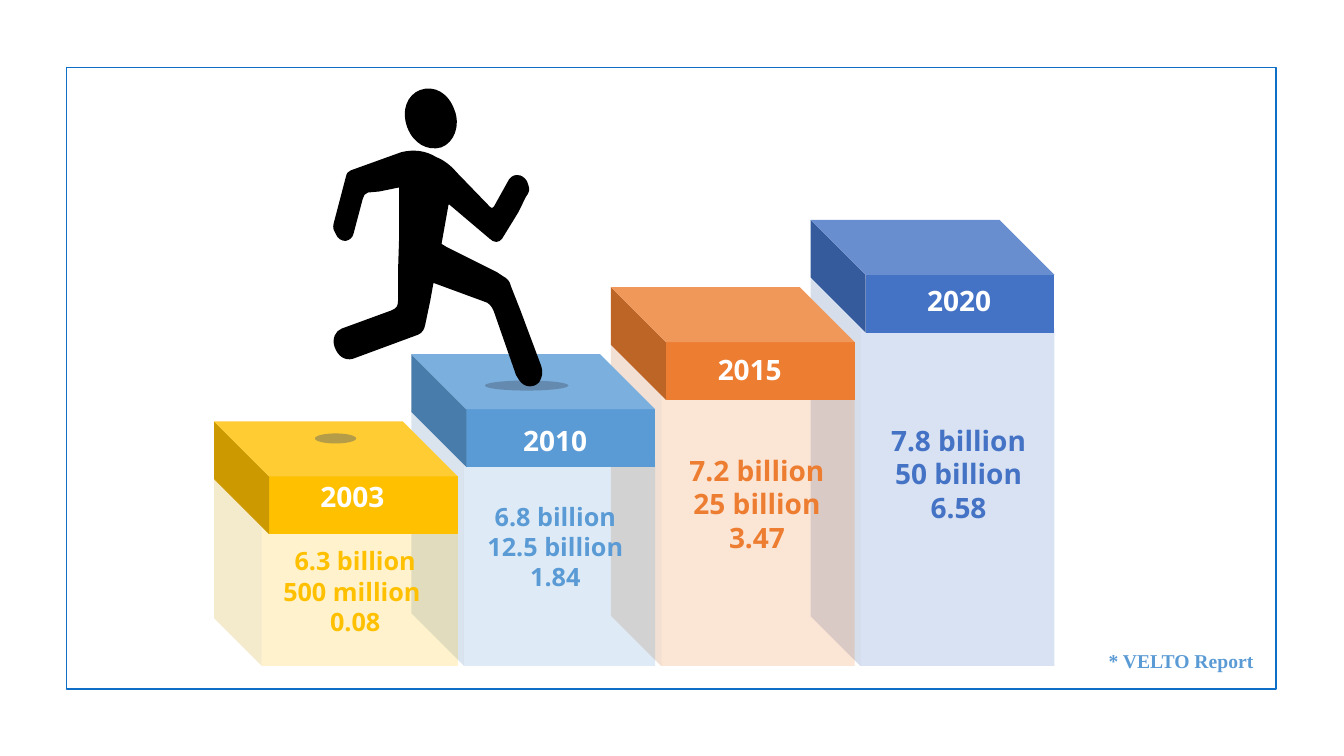
from lxml import etree
from pptx import Presentation
from pptx.dml.color import RGBColor
from pptx.enum.shapes import MSO_SHAPE
from pptx.enum.text import PP_ALIGN
from pptx.oxml.ns import qn
from pptx.util import Pt

RECT, CUBE, OVAL = MSO_SHAPE.RECTANGLE, MSO_SHAPE.CUBE, MSO_SHAPE.OVAL
LEFT, MID = PP_ALIGN.LEFT, PP_ALIGN.CENTER
GOLD = RGBColor(0xFF, 0xC0, 0x00)
SKY = RGBColor(0x5B, 0x9B, 0xD5)
RUST = RGBColor(0xED, 0x7D, 0x31)
BLUE = RGBColor(0x44, 0x72, 0xC4)
SLATE = RGBColor(0x44, 0x54, 0x6A)
EDGE = RGBColor(0x0F, 0x6F, 0xC6)
BLACK = RGBColor(0, 0, 0)
WHITE = RGBColor(255, 255, 255)
SANS, SERIF = "Open Sans", "Times New Roman"

STEPS = [
    {"year": "2003", "facts": ["6.3 billion", "500 million ", "0.08"], "size": 18,
     "color": GOLD, "left": 152.9, "top": 342.7, "depth": 0.256,
     "tag": (202.5, 339.1), "box": (182.4, 386.2, 142.6, 84.2)},
    {"year": "2010", "facts": ["6.8 billion", "12.5 billion", "1.84"], "size": 18,
     "color": SKY, "left": 293.8, "top": 292.3, "depth": 0.216,
     "tag": (347.3, 298.8), "box": (327.2, 354.5, 139, 84.2)},
    {"year": "2015", "facts": ["7.2 billion", "25 billion", "3.47"], "size": 20,
     "color": RUST, "left": 436.3, "top": 244.1, "depth": 0.206,
     "tag": (486.3, 248), "box": (470.2, 320.2, 141.1, 121)},
    {"year": "2020", "facts": ["7.8 billion", "50 billion", "6.58"], "size": 20,
     "color": BLUE, "left": 579, "top": 199.4, "depth": 0.203,
     "tag": (635.8, 199), "box": (614.9, 298.8, 139.7, 149)},
]
NOTE = "* VELTO Report"

BODY = [
    (285.1, 133.9), (270.7, 136.8), (262.8, 137.5),
    (260.6, 138.2, 259.9, 139.7, 259.2, 141.8), (252.7, 166.3),
    (252, 169.9, 249.8, 171.4, 247, 172.1),
    (244.1, 172.1, 241.2, 170.6, 239.8, 167),
    (238.3, 164.9, 237.6, 162.7, 238.3, 159.8), (247, 126.7),
    (247.7, 123.8, 248.4, 122.4, 250.6, 121.7), (286.6, 108.7),
    (295.2, 106.6, 303.8, 107.3, 311.8, 112.3),
    (317.5, 114.5, 322.6, 118.8, 326.2, 123.1), (349.9, 147.6),
    (350.6, 149, 352.1, 149, 352.8, 147.6), (363.6, 128.2),
    (365.8, 125.3, 367.9, 124.6, 371.5, 125.3),
    (373.7, 126, 376.6, 128.2, 377.3, 131.8),
    (378.7, 135.4, 378, 137.5, 375.8, 140.4), (370.1, 151.9), (358.6, 170.6),
    (356.4, 173.5, 352.8, 173.5, 349.9, 170.6), (321.1, 146.2), (320.4, 146.2),
    (315.4, 174.2), (319, 176.4), (355, 194.4), (359.3, 197.3),
    (362.2, 198.7, 364.3, 200.9, 365, 204.5), (371.5, 221), (386.6, 261.4),
    (388.1, 265.7, 387.4, 269.3, 385.2, 272.9),
    (381.6, 277.2, 374.4, 277.2, 370.8, 271.4), (368.6, 267.8), (352.8, 222.5),
    (351.4, 218.9, 349.2, 216, 345.6, 215.3), (310.3, 202.3), (309.6, 202.3),
    (307.4, 214.6), (303.8, 231.8),
    (303.1, 235.4, 301.7, 237.6, 298.8, 239), (252, 256.3),
    (246.2, 257.8, 241.2, 254.2, 239, 247.7),
    (236.9, 241.9, 239.8, 236.2, 244.1, 234.7), (279.4, 221.8),
    (283.7, 220.3, 284.4, 218.2, 284.4, 213.8), (284.4, 191.5), (285.1, 169.9),
]
HEAD = [
    (300.2, 64.3),
    (310.3, 60.7, 320.4, 66.4, 324.7, 78.7),
    (329, 89.5, 324.7, 101.7, 315.3, 105.3),
    (305.3, 108.2, 295.2, 102.4, 290.9, 90.9),
    (286.5, 78.7, 290.9, 67.9, 300.2, 64.3),
]

WIDE, BASE = 174.2, 475.6
CAP, CAP_TOP, RISE, CAP_DEPTH = 80.6, 301, 48, 0.488

deck = Presentation()
deck.slide_width, deck.slide_height = Pt(960), Pt(540)
slide = deck.slides.add_slide(deck.slide_layouts[6])
shapes = slide.shapes


def paint(shape, color, alpha=100):
    shape.shadow.inherit = False
    shape.line.fill.background()
    shape.fill.solid()
    shape.fill.fore_color.rgb = color
    if alpha < 100:
        tint = shape._element.spPr.find(qn("a:solidFill"))[0]
        etree.SubElement(tint, qn("a:alpha")).set("val", str(alpha * 1000))


def block(left, top, high, depth, color, alpha=100):
    cube = shapes.add_shape(CUBE, Pt(left), Pt(top), Pt(WIDE), Pt(high))
    cube.adjustments[0] = depth
    cube._element.spPr.find(qn("a:xfrm")).set("flipH", "1")
    paint(cube, color, alpha)


def shade(*area):
    paint(shapes.add_shape(OVAL, *map(Pt, area)), SLATE, 40)


def write(area, lines, size, color, face=SANS, align=MID):
    frame = shapes.add_textbox(*map(Pt, area)).text_frame
    frame.word_wrap = True
    frame.text = "\n".join(lines)
    for para in frame.paragraphs:
        para.alignment = align
        font = para.font
        font.name, font.size, font.bold = face, Pt(size), True
        font.color.rgb = color


def outline(parts):
    dots = [(Pt(part[-2]), Pt(part[-1])) for part in parts]
    pen = shapes.build_freeform(*dots[0], scale=1.0)
    pen.add_line_segments(dots[1:], close=True)
    form = pen.convert_to_shape()
    for node, part in zip(list(form._element.iter(qn("a:lnTo"))), parts[1:]):
        if len(part) == 6:
            node.tag = qn("a:cubicBezTo")
            for spot in (0, 1):
                x, y = part[2 * spot:2 * spot + 2]
                bend = etree.Element(qn("a:pt"))
                bend.set("x", str(Pt(x) - form.left))
                bend.set("y", str(Pt(y) - form.top))
                node.insert(spot, bend)
    paint(form, BLACK)


border = shapes.add_shape(RECT, Pt(47.5), Pt(48.2), Pt(864), Pt(444.2))
border.shadow.inherit = False
border.fill.background()
border.line.color.rgb = EDGE
border.line.width = Pt(1.25)

for step in reversed(STEPS):
    block(step["left"], step["top"], BASE - step["top"], step["depth"], step["color"], 20)
for rank, step in enumerate(STEPS):
    block(step["left"], CAP_TOP - RISE * rank, CAP, CAP_DEPTH, step["color"])
for step in STEPS:
    write(step["box"], step["facts"], step["size"], step["color"])

shade(346.3, 271.8, 59.8, 7.2)
outline(BODY)
outline(HEAD)
shade(224.9, 309.6, 29.5, 7.2)

for step in STEPS:
    write((*step["tag"], 98.6, 36.7), [step["year"]], 20, WHITE)
write((784.8, 460.1, 118.1, 24.5), [NOTE], 14, SKY, SERIF, LEFT)

deck.save("out.pptx")
